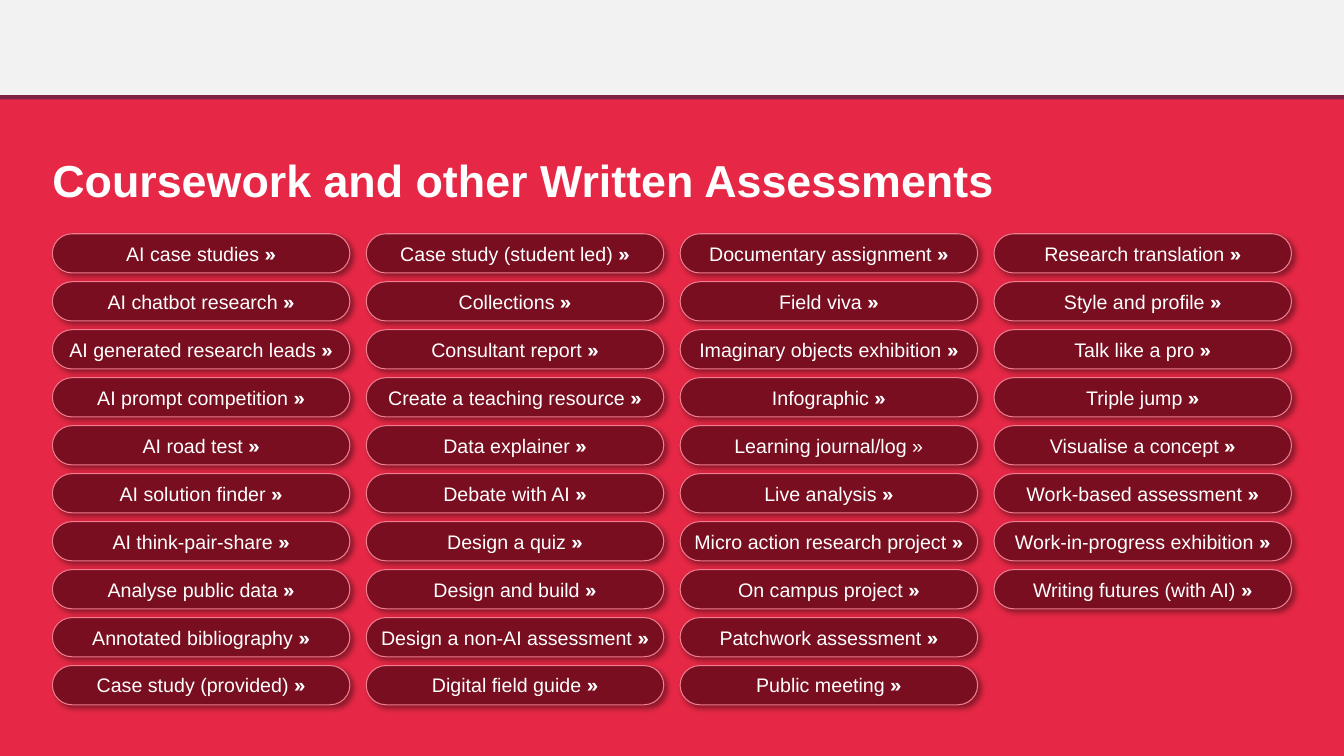
from dataclasses import dataclass

from lxml import etree
from pptx import Presentation
from pptx.dml.color import RGBColor
from pptx.enum import shapes, text
from pptx.oxml import ns
from pptx.util import Pt


@dataclass(frozen=True)
class Theme:
    background: str = "E62846"
    band: str = "F2F2F2"
    rule: str = "7F2246"
    button: str = "780E1F"
    outline: str = "F07D8F"
    shadow: str = "000000"
    text: str = "FFFFFF"
    font: str = "Arial"
    arrow_font: str = "Montserrat"
    title_size: float = 32
    button_size: float = 14


THEME = Theme()

SLIDE_WIDTH, SLIDE_HEIGHT = 960, 540
BAND_HEIGHT, RULE_HEIGHT = 68, 3
GRID_LEFT, GRID_TOP = 37.4, 167
BUTTON_WIDTH, BUTTON_HEIGHT = 212.5, 28
COLUMN_STEP, ROW_STEP = 224.2, 34.27

TITLE = "Coursework and other Written Assessments"
ARROW = "»"
PLAIN_ARROW_LABEL = "Learning journal/log"
COLUMNS = [
    ["AI case studies", "AI chatbot research", "AI generated research leads",
     "AI prompt competition", "AI road test", "AI solution finder",
     "AI think-pair-share", "Analyse public data", "Annotated bibliography",
     "Case study (provided)"],
    ["Case study (student led)", "Collections", "Consultant report",
     "Create a teaching resource", "Data explainer", "Debate with AI",
     "Design a quiz", "Design and build", "Design a non-AI assessment",
     "Digital field guide"],
    ["Documentary assignment", "Field viva", "Imaginary objects exhibition",
     "Infographic", PLAIN_ARROW_LABEL, "Live analysis",
     "Micro action research project", "On campus project",
     "Patchwork assessment", "Public meeting"],
    ["Research translation", "Style and profile", "Talk like a pro",
     "Triple jump", "Visualise a concept", "Work-based assessment",
     "Work-in-progress exhibition", "Writing futures (with AI)"],
]


def format_run(run, size, font=THEME.font, bold=False):
    run.font.name = font
    run.font.size = Pt(size)
    run.font.bold = bold
    run.font.color.rgb = RGBColor.from_string(THEME.text)


def clear_margins(text_frame):
    """Remove the insets, wrap the text and centre it vertically."""
    text_frame.margin_left = text_frame.margin_right = 0
    text_frame.margin_top = text_frame.margin_bottom = 0
    text_frame.word_wrap = True
    text_frame.vertical_anchor = text.MSO_ANCHOR.MIDDLE


def add_filled_shape(slide, kind, left, top, width, height, color):
    shape = slide.shapes.add_shape(kind, Pt(left), Pt(top), Pt(width), Pt(height))
    shape.shadow.inherit = False
    shape.fill.solid()
    shape.fill.fore_color.rgb = RGBColor.from_string(color)
    shape.line.fill.background()
    return shape


def add_band(slide, top, height, color):
    """Add a full-width rectangle."""
    add_filled_shape(slide, shapes.MSO_SHAPE.RECTANGLE,
                     0, top, SLIDE_WIDTH, height, color)


def add_drop_shadow(shape):
    effects = shape._element.spPr.find(ns.qn("a:effectLst"))
    shadow = etree.SubElement(
        effects, ns.qn("a:outerShdw"), blurRad=str(Pt(4)), dist=str(Pt(3)),
        dir="2700000", algn="tl", rotWithShape="0")
    color = etree.SubElement(shadow, ns.qn("a:srgbClr"), val=THEME.shadow)
    etree.SubElement(color, ns.qn("a:alpha"), val="40000")


def add_title(slide):
    box = slide.shapes.add_textbox(Pt(GRID_LEFT), Pt(108.7), Pt(885), Pt(39.6))
    clear_margins(box.text_frame)
    box.text_frame.text = TITLE
    format_run(box.text_frame.paragraphs[0].runs[0], THEME.title_size, bold=True)


def add_button(slide, left, top, label):
    button = add_filled_shape(slide, shapes.MSO_SHAPE.ROUNDED_RECTANGLE,
                              left, top, BUTTON_WIDTH, BUTTON_HEIGHT, THEME.button)
    button.adjustments[0] = 0.5
    button.line.color.rgb = RGBColor.from_string(THEME.outline)
    button.line.width = Pt(0.75)
    add_drop_shadow(button)

    clear_margins(button.text_frame)
    paragraph = button.text_frame.paragraphs[0]
    paragraph.alignment = text.PP_ALIGN.CENTER
    if label == PLAIN_ARROW_LABEL:
        paragraph.text = f"{label} {ARROW}"
    else:
        paragraph.text = f"{label} "
        arrow = paragraph.add_run()
        arrow.text = ARROW
        format_run(arrow, THEME.button_size, THEME.arrow_font, bold=True)
    format_run(paragraph.runs[0], THEME.button_size)


def main():
    presentation = Presentation()
    presentation.slide_width = Pt(SLIDE_WIDTH)
    presentation.slide_height = Pt(SLIDE_HEIGHT)
    slide = presentation.slides.add_slide(presentation.slide_layouts[6])

    add_band(slide, 0, SLIDE_HEIGHT, THEME.background)
    add_band(slide, 0, BAND_HEIGHT, THEME.band)
    add_band(slide, BAND_HEIGHT, RULE_HEIGHT, THEME.rule)
    add_title(slide)
    for column, labels in enumerate(COLUMNS):
        for row, label in enumerate(labels):
            add_button(slide, GRID_LEFT + column * COLUMN_STEP,
                       GRID_TOP + row * ROW_STEP, label)

    presentation.save("out.pptx")


if __name__ == "__main__":
    main()
